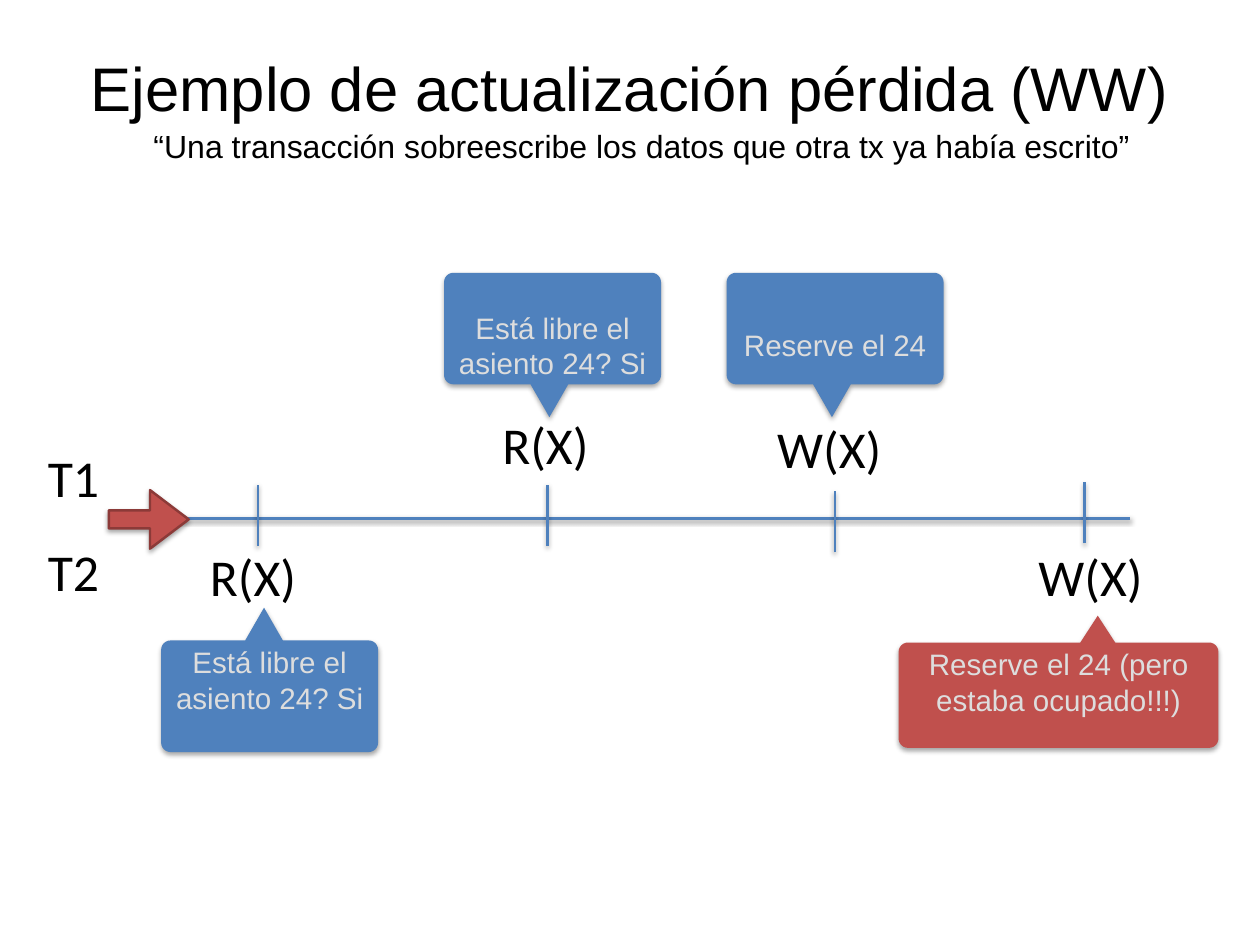
from dataclasses import dataclass
from math import cos, radians, sin

from lxml import etree
from pptx import Presentation
from pptx.dml.color import RGBColor
from pptx.enum.shapes import MSO_CONNECTOR, MSO_SHAPE
from pptx.enum.text import MSO_ANCHOR, MSO_AUTO_SIZE, PP_ALIGN
from pptx.oxml.ns import qn
from pptx.util import Cm, Pt

STRAIGHT = MSO_CONNECTOR.STRAIGHT
RIGHT_ARROW = MSO_SHAPE.RIGHT_ARROW
TOP, MIDDLE = MSO_ANCHOR.TOP, MSO_ANCHOR.MIDDLE
LEFT, CENTER = PP_ALIGN.LEFT, PP_ALIGN.CENTER
FIT_TEXT = MSO_AUTO_SIZE.SHAPE_TO_FIT_TEXT


@dataclass(frozen=True)
class Theme:
    black = RGBColor(0x00, 0x00, 0x00)
    blue = RGBColor(0x4F, 0x81, 0xBD)
    red = RGBColor(0xC0, 0x50, 0x4D)
    dark_red = RGBColor(0x8C, 0x3A, 0x38)
    callout_text = RGBColor(0xDD, 0xDD, 0xDD)
    heading_font = "Arial"
    label_font = "Calibri"
    title_size = Pt(50)
    subtitle_size = Pt(26)
    label_size = Pt(42)
    callout_size = Pt(24)
    line_width = Pt(2)
    inset = Cm(0.18)


theme = Theme()


def write_text(shape, text, font_name, size, color, align=LEFT, anchor=TOP):
    """Fill the shape with one styled paragraph and return that paragraph."""
    frame = shape.text_frame
    frame.word_wrap = True
    frame.vertical_anchor = anchor
    frame.margin_left = frame.margin_right = theme.inset
    frame.margin_top = frame.margin_bottom = theme.inset
    paragraph = frame.paragraphs[0]
    paragraph.text = text
    paragraph.alignment = align
    paragraph.font.name = font_name
    paragraph.font.size = size
    paragraph.font.color.rgb = color
    return paragraph


def add_soft_shadow(item, opacity):
    """Cast a shadow straight down; call after fill and line are set."""
    effects = etree.SubElement(item._element.spPr, qn("a:effectLst"))
    shadow = etree.SubElement(effects, qn("a:outerShdw"), blurRad=str(Pt(4)),
                              dist=str(Pt(2)), dir="5400000", rotWithShape="0")
    black = etree.SubElement(shadow, qn("a:srgbClr"), val="000000")
    etree.SubElement(black, qn("a:alpha"), val=str(opacity * 1000))


presentation = Presentation()
presentation.slide_width, presentation.slide_height = Cm(36.12), Cm(27.09)
slide = presentation.slides.add_slide(presentation.slide_layouts[6])
shapes = slide.shapes

# Heading
title = shapes.add_textbox(Cm(1.8), Cm(1.09), Cm(32.51), Cm(2.82))
write_text(title, "Ejemplo de actualización pérdida (WW)", theme.heading_font,
           theme.title_size, theme.black, CENTER, MIDDLE)

subtitle = shapes.add_textbox(Cm(2.95), Cm(3.56), Cm(30.23), Cm(1.37))
definition = write_text(
    subtitle, "“Una transacción sobreescribe los datos que otra tx ya había escrito”",
    theme.heading_font, theme.subtitle_size, theme.black)
definition.line_spacing = 0.9
definition._p.get_or_add_pPr().set("indent", str(Cm(1.27)))
subtitle.text_frame.auto_size = FIT_TEXT

# Transactions and their operations
label_widths = {"T": 2.03, "R": 3.18, "W": 3.58}
for text, left, top in [
    ("R(X)", 14.22, 11.66),
    ("T1", 1.19, 12.6),
    ("R(X)", 5.84, 15.44),
    ("W(X)", 29.59, 15.44),
    ("T2", 1.19, 15.29),
    ("W(X)", 22.1, 11.76),
]:
    label = shapes.add_textbox(Cm(left), Cm(top), Cm(label_widths[text[0]]), Cm(2.06))
    write_text(label, text, theme.label_font, theme.label_size, theme.black)
    label.text_frame.auto_size = FIT_TEXT

# Time axis with one tick per operation
axis_y, tick_length = 14.86, 1.76
time_lines = [(3.33, axis_y, 32.39, axis_y)]
for x, top in [(7.39, 13.89), (15.7, 13.89), (23.93, 14.07), (31.09, 13.82)]:
    time_lines.append((x, top + tick_length, x, top))
for ends in time_lines:
    time_line = shapes.add_connector(STRAIGHT, *(Cm(value) for value in ends))
    time_line.line.color.rgb = theme.blue
    time_line.line.width = theme.line_width
    add_soft_shadow(time_line, 37)

start_arrow = shapes.add_shape(RIGHT_ARROW, Cm(3.12), Cm(14.05), Cm(2.29), Cm(1.68))
start_arrow.adjustments[0] = 0.31
start_arrow.adjustments[1] = 0.66
start_arrow.fill.solid()
start_arrow.fill.fore_color.rgb = theme.red
start_arrow.line.color.rgb = theme.dark_red
start_arrow.line.width = theme.line_width
add_soft_shadow(start_arrow, 34)

# Rounded callouts, each with a tail pointing at its operation
radius = 0.27
for text, color, left, top, width, height, tip_x, tip_y, half_tail in [
    ("Está libre el asiento 24? Si", theme.blue, 4.62, 18.36, 6.22, 3.2, 7.57, 17.42, 0.54),
    ("Reserve el 24 (pero estaba ocupado!!!)", theme.red,
     25.76, 18.42, 9.17, 3.02, 31.47, 17.65, 0.5),
    ("Está libre el asiento 24? Si", theme.blue, 12.73, 7.82, 6.22, 3.2, 15.75, 11.96, 0.54),
    ("Reserve el 24", theme.blue, 20.83, 7.82, 6.22, 3.2, 23.85, 11.96, 0.54),
]:
    right, bottom = left + width, top + height
    points_up = tip_y < top
    corners = [
        (left + radius, top + radius, 180),
        (right - radius, top + radius, 270),
        (right - radius, bottom - radius, 0),
        (left + radius, bottom - radius, 90),
    ]
    outline = []
    for index, (center_x, center_y, start_angle) in enumerate(corners):
        for step in range(0, 91, 15):
            angle = radians(start_angle + step)
            outline.append((center_x + radius * cos(angle), center_y + radius * sin(angle)))
        if index == 0 and points_up:
            outline += [(tip_x - half_tail, top), (tip_x, tip_y), (tip_x + half_tail, top)]
        if index == 2 and not points_up:
            outline += [(tip_x + half_tail, bottom), (tip_x, tip_y), (tip_x - half_tail, bottom)]
    points = [(Cm(x), Cm(y)) for x, y in outline]
    builder = shapes.build_freeform(*points[0])
    builder.add_line_segments(points[1:], close=True)
    callout = builder.convert_to_shape()
    callout.fill.solid()
    callout.fill.fore_color.rgb = color
    callout.line.fill.background()
    add_soft_shadow(callout, 34)
    write_text(callout, text, theme.heading_font, theme.callout_size,
               theme.callout_text, CENTER, MIDDLE)

presentation.save("out.pptx")
